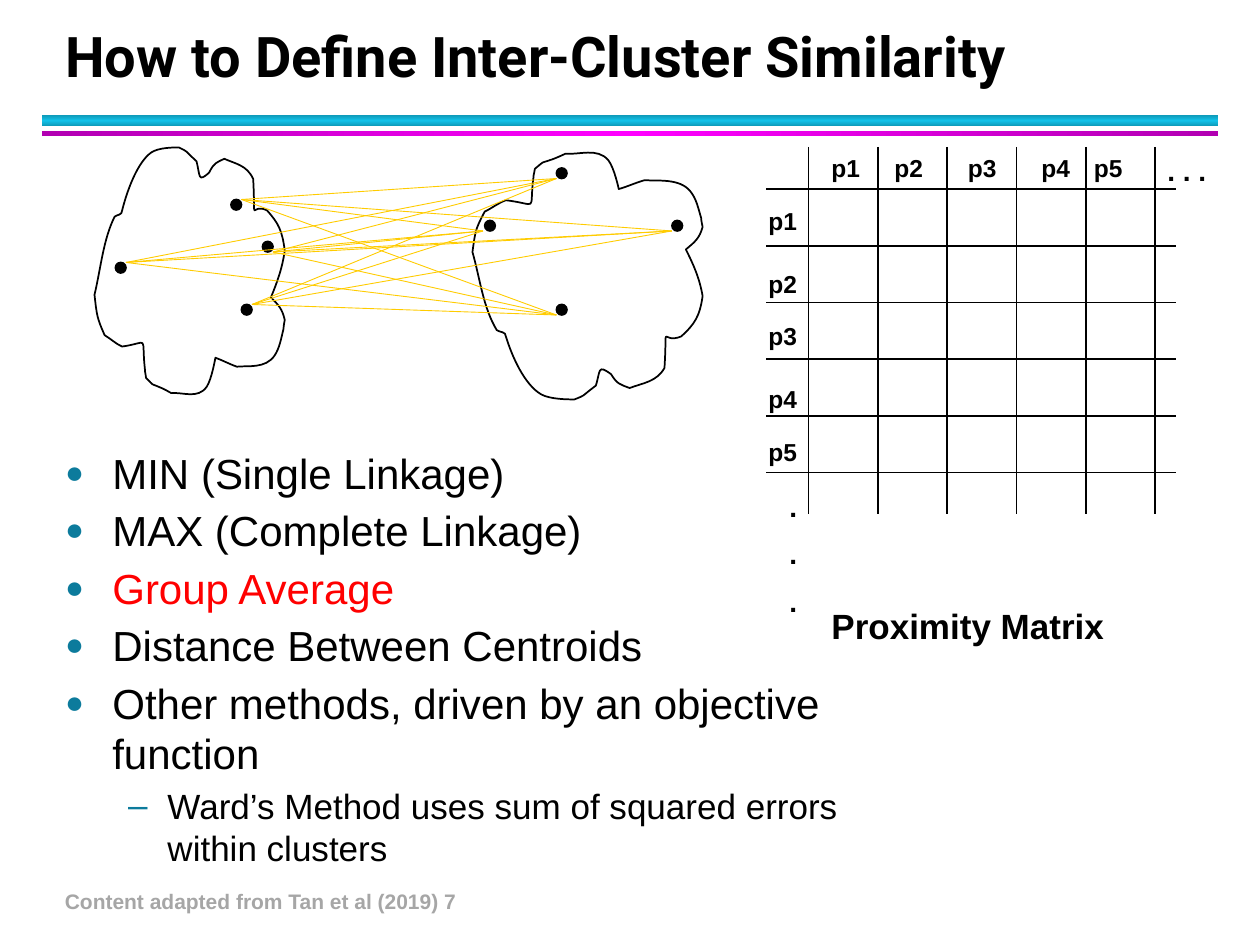
"""Build the slide on inter-cluster similarity with two clusters and a proximity matrix."""
from copy import deepcopy
from itertools import product
from typing import NamedTuple

from lxml.etree import SubElement
from pptx import Presentation
from pptx.dml.color import RGBColor
from pptx.enum.shapes import MSO_CONNECTOR, MSO_SHAPE
from pptx.enum.text import MSO_ANCHOR, MSO_AUTO_SIZE, PP_ALIGN
from pptx.oxml.ns import qn
from pptx.util import Pt

BLACK = RGBColor(0x00, 0x00, 0x00)
RED = RGBColor(0xFF, 0x00, 0x00)
GRAY = RGBColor(0xA6, 0xA6, 0xA6)
GOLD = RGBColor(0xFF, 0xCC, 0x00)
TEAL = RGBColor(0x0C, 0x7B, 0x9C)
CYAN_EDGE = RGBColor(0x0E, 0x9B, 0xBA)
CYAN = RGBColor(0x12, 0xC2, 0xE9)
MAGENTA_EDGE = RGBColor(0xB2, 0x00, 0xB2)
MAGENTA = RGBColor(0xFF, 0x00, 0xFF)


class Point(NamedTuple):
    x: float
    y: float


class Box(NamedTuple):
    left: float
    top: float
    width: float
    height: float


class Bullet(NamedTuple):
    text: str
    color: RGBColor = BLACK
    level: int = 0


class BulletStyle(NamedTuple):
    mark: str
    percent: int
    size: float
    margin: float
    hanging: float


class Cluster(NamedTuple):
    origin: Point
    x_scale: float
    y_scale: float
    members: list[Point]
    link_ends: list[Point]


BULLET_STYLES = [BulletStyle("●", 75, 24, 27, 27), BulletStyle("–", 100, 20, 58.5, 22.5)]
BULLETS = [
    Bullet("MIN (Single Linkage)"),
    Bullet("MAX (Complete Linkage)"),
    Bullet("Group Average", RED),
    Bullet("Distance Between Centroids"),
    Bullet("Other methods, driven by an objective function"),
    Bullet("Ward’s Method uses sum of squared errors within clusters", level=1),
]

OUTLINE_START = Point(11.5, 39.6)
OUTLINE_CURVES = [
    (5, 52.6, 3.6, 69.1, 0, 84.2), (1.4, 96.5, 1.4, 97.2, 5.8, 107.3),
    (9.4, 109.4, 12.2, 112.3, 15.8, 113.8), (31.7, 111.6, 26.6, 106.6, 28.8, 126.7),
    (28.8, 128.9, 29.5, 130.3, 29.5, 131.8), (34.6, 136.8, 31.7, 134.6, 36.7, 136.8),
    (38.9, 137.5, 43.9, 140.4, 43.9, 140.4), (50.4, 139.7, 59, 144, 64.1, 136.8),
    (67, 132.5, 69.1, 120.2, 69.1, 120.2), (73.4, 121.7, 77, 123.8, 81.4, 125.3),
    (87.1, 124.6, 97.9, 126.7, 103, 118.8), (105.8, 114.5, 106.6, 109.4, 108, 103.7),
    (108, 102.2, 108.7, 98.6, 108.7, 98.6), (107.3, 92.2, 105.1, 90, 100.8, 85.7),
    (104.4, 77, 107.3, 69.1, 108.7, 59), (107.3, 47.5, 105.1, 43.2, 98.6, 36),
    (88.6, 31, 92.2, 46.8, 90.7, 18), (87.1, 10.1, 80.6, 9.4, 74.2, 6.5),
    (69.8, 8.6, 68.4, 8.6, 65.5, 14.4), (59, 20.2, 60.5, 16.6, 58.3, 7.9),
    (50.4, 0.7, 54, 2.9, 48.2, 0), (45.4, 0, 36.7, 0, 32.4, 2.9),
    (24.5, 8.6, 18.7, 24.5, 15.8, 36), (15.8, 38.9, 13, 38.2, 11.5, 39.6),
]
MEMBER_SIZE = 6

LEFT_CLUSTER = Cluster(
    Point(54, 84.24), 1, 1,
    [Point(138, 174), Point(150, 138), Point(66, 150), Point(132, 114)],
    [Point(144, 174), Point(156, 144), Point(72, 150), Point(138, 114)])
RIGHT_CLUSTER = Cluster(
    Point(270, 228.24), 1.21, -1,
    [Point(318, 174), Point(277, 126), Point(318, 96), Point(384, 126)],
    [Point(318, 180), Point(276, 132), Point(318, 102), Point(384, 132)])

MATRIX_LINES = 6
COLUMN_LABEL_LEFTS = [468, 504, 546, 588, 618]
ROW_LABEL_TOPS = [114, 150, 180, 216, 246]


def write(frame, *lines: str, size: float, color: RGBColor = BLACK, font: str = "Arial",
          bold: bool = True, gap: float = 0) -> None:
    """Fill a text frame with equally formatted lines, a gap before each but the first."""
    frame.word_wrap = True
    frame.auto_size = MSO_AUTO_SIZE.NONE
    for index, line in enumerate(lines):
        paragraph = frame.add_paragraph() if index else frame.paragraphs[0]
        paragraph.alignment = PP_ALIGN.LEFT
        paragraph.space_before = Pt(gap if index else 0)
        run = paragraph.add_run()
        run.text = line
        run.font.size, run.font.name, run.font.bold = Pt(size), font, bold
        run.font.color.rgb = color


def place(shape, box: Box) -> None:
    """Move and size a shape."""
    shape.left, shape.top, shape.width, shape.height = map(Pt, box)


def add_label(slide, box: Box, *lines: str, **text_format) -> None:
    """Add a text box."""
    write(slide.shapes.add_textbox(*map(Pt, box)).text_frame, *lines, **text_format)


def add_line(slide, start: Point, end: Point, color: RGBColor, weight: float) -> None:
    """Add a straight line without shadow."""
    connector = slide.shapes.add_connector(MSO_CONNECTOR.STRAIGHT, *map(Pt, start + end))
    connector.line.color.rgb = color
    connector.line.width = Pt(weight)
    SubElement(connector._element.spPr, qn("a:effectLst"))


def add_rule(slide, box: Box, edge: RGBColor, middle: RGBColor, angle: float) -> None:
    """Add a bar whose gradient runs from edge to middle and back."""
    rule = slide.shapes.add_shape(MSO_SHAPE.RECTANGLE, *map(Pt, box))
    rule.shadow.inherit = False
    rule.line.fill.background()
    rule.fill.gradient()
    rule.fill.gradient_angle = angle
    stops = rule._element.spPr.find(".//" + qn("a:gsLst"))
    stops.insert(1, deepcopy(stops[0]))
    for stop, position, color in zip(rule.fill.gradient_stops, (0, 0.5, 1), (edge, middle, edge)):
        stop.position = position
        stop.color.rgb = color


def add_outline(slide, cluster: Cluster):
    """Draw the outline through its corner points, then bend each side into a cubic curve."""
    def locate(x: float, y: float) -> tuple[int, int]:
        return (Pt(cluster.origin.x + cluster.x_scale * x),
                Pt(cluster.origin.y + cluster.y_scale * y))

    builder = slide.shapes.build_freeform(*locate(*OUTLINE_START))
    builder.add_line_segments([locate(*curve[4:]) for curve in OUTLINE_CURVES], close=True)
    outline = builder.convert_to_shape()
    sides = outline._element.spPr.findall(".//" + qn("a:lnTo"))
    for side, curve in zip(sides, OUTLINE_CURVES):
        side.tag = qn("a:cubicBezTo")
        side.remove(side[0])
        for x, y in (locate(*curve[i:i + 2]) for i in (0, 2, 4)):
            SubElement(side, qn("a:pt"), x=str(x - outline.left), y=str(y - outline.top))
    outline.fill.background()
    return outline


def add_cluster(slide, cluster: Cluster) -> None:
    """Draw a cluster outline and its members."""
    outline = add_outline(slide, cluster)
    members = [slide.shapes.add_shape(MSO_SHAPE.OVAL, *map(Pt, (*member, MEMBER_SIZE, MEMBER_SIZE)))
               for member in cluster.members]
    for member in members:
        member.fill.solid()
        member.fill.fore_color.rgb = BLACK
    for shape in (outline, *members):
        shape.shadow.inherit = False
        shape.line.color.rgb = BLACK
        shape.line.width = Pt(1)


def add_matrix(slide) -> None:
    """Draw the proximity matrix with its labels."""
    for index in range(MATRIX_LINES):
        x, y = 462 + 39.6 * index, 108 + 32.4 * index
        add_line(slide, Point(x, 84), Point(x, 294), BLACK, 1)
        add_line(slide, Point(438, y), Point(672, y), BLACK, 1)
    for number, (left, top) in enumerate(zip(COLUMN_LABEL_LEFTS, ROW_LABEL_TOPS), 1):
        add_label(slide, Box(left, 84, 42, 24), f"p{number}", size=14)
        add_label(slide, Box(432, top, 42, 24), f"p{number}", size=14)
    add_label(slide, Box(660, 84, 42, 26.4), ". . .", size=16)
    add_label(slide, Box(444, 276, 42, 84), ".", ".", ".", size=16, gap=8)
    add_label(slide, Box(468, 342, 198, 31), "Proximity Matrix", size=20)


def fill_bullets(frame) -> None:
    """Write the list of similarity definitions."""
    for index, bullet in enumerate(BULLETS):
        style = BULLET_STYLES[bullet.level]
        paragraph = frame.add_paragraph() if index else frame.paragraphs[0]
        paragraph.level = bullet.level
        paragraph.space_before = paragraph.space_after = Pt(2)
        run = paragraph.add_run()
        run.text = bullet.text
        run.font.size, run.font.name = Pt(style.size), "Arial"
        run.font.color.rgb = bullet.color
        properties = paragraph._p.get_or_add_pPr()
        properties.set("marL", str(Pt(style.margin)))
        properties.set("indent", str(-Pt(style.hanging)))
        SubElement(SubElement(properties, qn("a:buClr")), qn("a:srgbClr"), val=str(TEAL))
        SubElement(properties, qn("a:buSzPct"), val=str(style.percent * 1000))
        SubElement(properties, qn("a:buFont"), typeface="Arial")
        SubElement(properties, qn("a:buChar"), char=style.mark)


def main() -> None:
    """Build and save the slide."""
    deck = Presentation()
    deck.slide_width, deck.slide_height = Pt(720), Pt(540)
    slide = deck.slides.add_slide(deck.slide_layouts[1])
    title, body = slide.placeholders
    place(title, Box(30, 12.5, 652, 42))
    write(title.text_frame, "How to Define Inter-Cluster Similarity", size=32, font="Roboto")
    title.text_frame.vertical_anchor = MSO_ANCHOR.BOTTOM
    title.text_frame.paragraphs[0].line_spacing = Pt(36)
    place(body, Box(30, 252, 458, 246))
    body.text_frame.auto_size = MSO_AUTO_SIZE.NONE
    fill_bullets(body.text_frame)
    add_rule(slide, Box(24, 66, 672, 6), CYAN_EDGE, CYAN, 90)
    add_rule(slide, Box(24, 75, 672, 3), MAGENTA_EDGE, MAGENTA, 0)
    add_label(slide, Box(30, 504, 657, 22), "Content adapted from Tan et al (2019) 7",
              size=12, color=GRAY)
    add_matrix(slide)
    add_cluster(slide, LEFT_CLUSTER)
    add_cluster(slide, RIGHT_CLUSTER)
    for start, end in product(LEFT_CLUSTER.link_ends, RIGHT_CLUSTER.link_ends):
        add_line(slide, start, end, GOLD, 0.5)
    deck.save("out.pptx")


if __name__ == "__main__":
    main()
